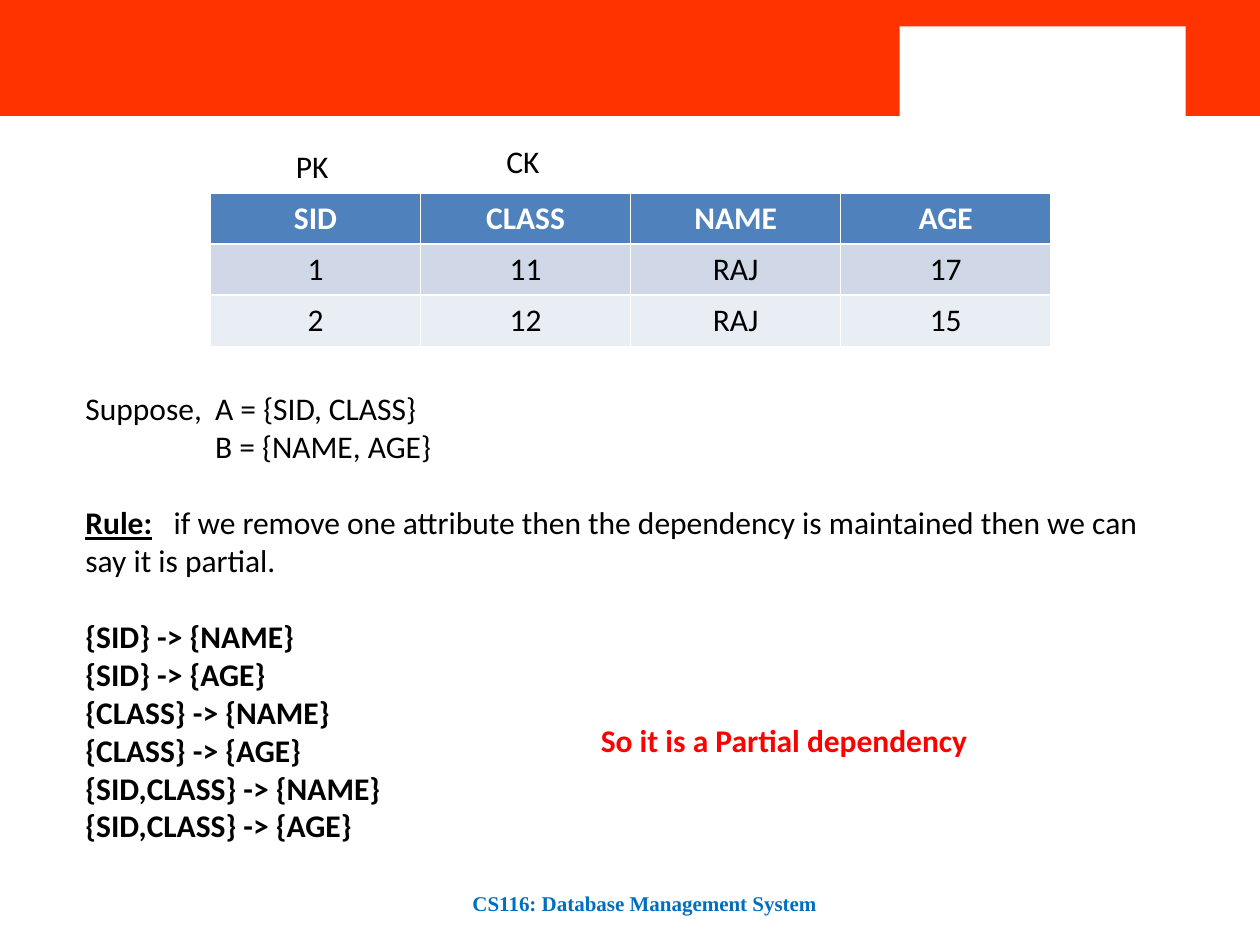
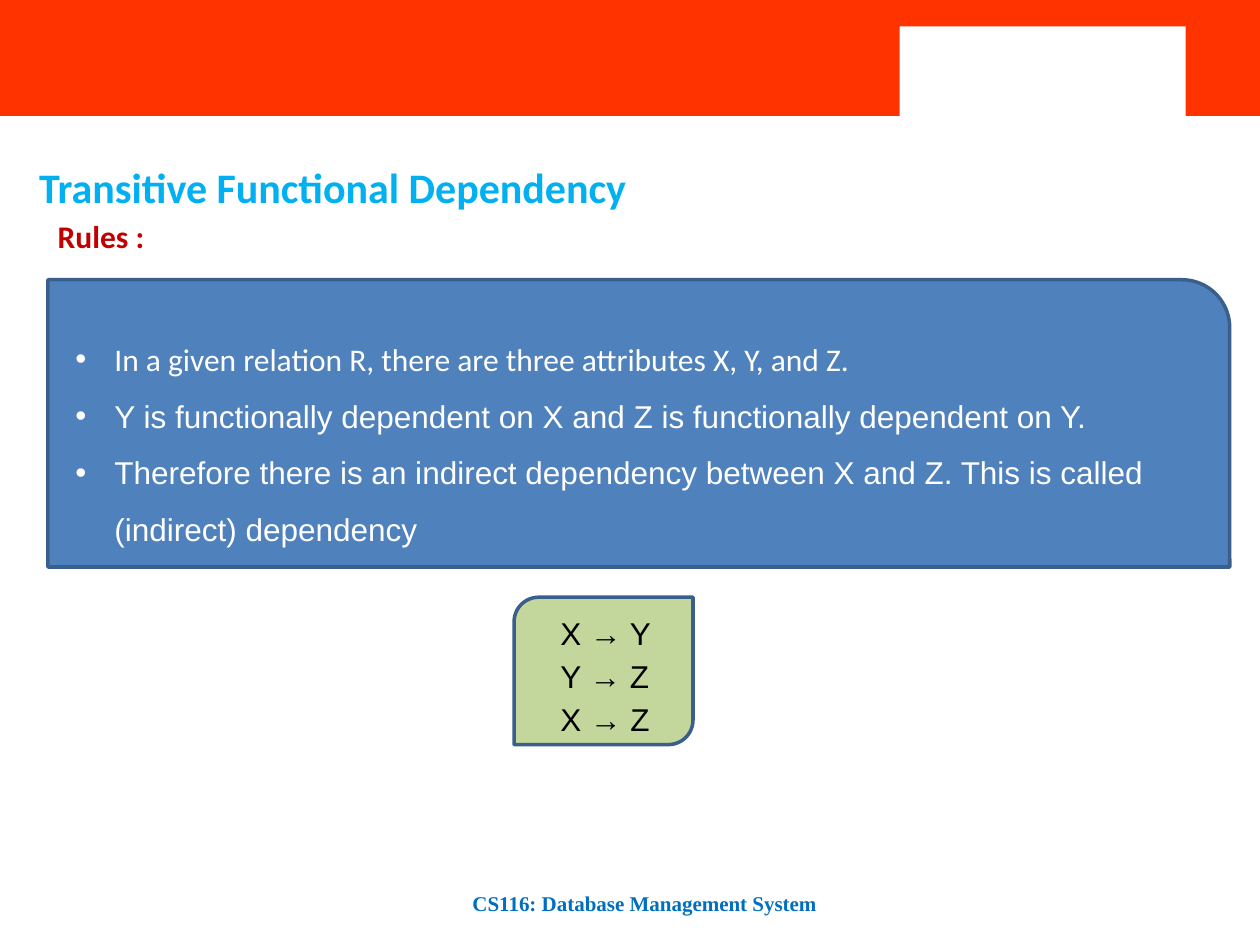
from lxml import etree
from pptx import Presentation
from pptx.dml.color import RGBColor
from pptx.enum.shapes import MSO_SHAPE
from pptx.enum.text import MSO_ANCHOR, MSO_AUTO_SIZE, PP_ALIGN
from pptx.oxml.ns import qn
from pptx.util import Inches, Pt

RECTANGLE = MSO_SHAPE.RECTANGLE
ONE_ROUND = MSO_SHAPE.ROUND_1_RECTANGLE
DIAGONAL_ROUND = MSO_SHAPE.ROUND_2_DIAG_RECTANGLE
CENTER, JUSTIFY = PP_ALIGN.CENTER, PP_ALIGN.JUSTIFY
TOP = MSO_ANCHOR.TOP
NO_FIT = MSO_AUTO_SIZE.NONE
TITLE_ONLY, BLANK = 5, 6

CELL = Inches(1)  # the slide is a grid of 10 columns and 7.5 rows
COLUMNS, ROWS = 10, 7.5
BAND, WHITE, BLACK = "FF3300", "FFFFFF", "000000"
PANEL, PANEL_LINE, GREEN = "4F81BD", "3A5F8C", "C3D69B"
TITLE_BLUE, FOOTER_BLUE = "00B0F0", "006FC0"
RED, DARK_RED = "FF0000", "C00000"
ROW_FILLS = [PANEL, "D0D8E8", "E9EDF4"]


def rgb(hex_code):
    return RGBColor.from_string(hex_code)


def write(slide, box, lines, color=BLACK, size=18, font="Calibri", bold=False,
          spacing=None, holder=None):
    """Put lines (a string, or a tuple of runs) in holder or a new text box."""
    left, top, width, height = [int(CELL * v) for v in box]
    if holder is None:
        holder = slide.shapes.add_textbox(left, top, width, height)
    holder.left, holder.top, holder.width, holder.height = left, top, width, height
    frame = holder.text_frame
    frame.word_wrap = True
    for index, line in enumerate(lines):
        paragraph = frame.paragraphs[0] if index == 0 else frame.add_paragraph()
        for part in (line,) if isinstance(line, str) else line:
            run = paragraph.add_run()
            run.text = part
            run.font.name, run.font.size, run.font.bold = font, Pt(size), bold
            run.font.color.rgb = rgb(color)
        if spacing:
            paragraph.line_spacing = spacing
    return frame


prs = Presentation()
prs.slide_width, prs.slide_height = int(CELL * COLUMNS), int(CELL * ROWS)
partial = prs.slides.add_slide(prs.slide_layouts[BLANK])
transitive = prs.slides.add_slide(prs.slide_layouts[TITLE_ONLY])

# Bands, panels and footers
blocks = []
for slide in (partial, transitive):
    blocks += [(slide, RECTANGLE, (0, 0, COLUMNS, 0.92), BAND, None),
               (slide, RECTANGLE, (7.14, 0.21, 2.27, 0.75), WHITE, None)]
    footer = write(slide, (3.75, 7.07, 3, 0.18), ["CS116: Database Management System"],
                   FOOTER_BLUE, 12, "Times New Roman", True, Pt(14.1))
    footer.margin_left = footer.margin_right = footer.margin_top = footer.margin_bottom = 0
blocks += [(transitive, DIAGONAL_ROUND, (4.08, 4.74, 1.42, 1.17), GREEN, PANEL_LINE),
           (transitive, ONE_ROUND, (0.38, 2.22, 9.38, 2.28), PANEL, PANEL_LINE)]
for slide, outline, box, fill, line in blocks:
    block = slide.shapes.add_shape(outline, *[int(CELL * v) for v in box])
    block.shadow.inherit = False
    block.fill.solid()
    block.fill.fore_color.rgb = rgb(fill)
    if line:
        block.line.color.rgb = rgb(line)
        block.line.width = Pt(2)
    else:
        block.line.fill.background()

# Partial dependency
students = [["SID", "CLASS", "NAME", "AGE"],
            ["1", "11", "RAJ", "17"],
            ["2", "12", "RAJ", "15"]]
table = partial.shapes.add_table(
    len(students), len(students[0]),
    *[int(CELL * v) for v in (1.67, 1.53, 6.67, 1.22)]).table
for row, record in enumerate(students):
    for column, value in enumerate(record):
        cell = table.cell(row, column)
        cell.fill.solid()
        cell.fill.fore_color.rgb = rgb(ROW_FILLS[row])
        cell.text_frame.text = value
        paragraph = cell.text_frame.paragraphs[0]
        paragraph.alignment = CENTER
        font = paragraph.runs[0].font
        font.name, font.size, font.bold = "Calibri", Pt(18), row == 0
        font.color.rgb = rgb(WHITE if row == 0 else BLACK)

write(partial, (2.25, 1.12, 0.63, 0.4), ["PK"])
write(partial, (3.92, 1.08, 0.63, 0.4), ["CK"])
write(partial, (4.67, 5.67, 3.2, 0.4), ["So it is a Partial dependency"], RED, bold=True)

dependencies = [f"{{{key}}} -> {{{value}}}"
                for key in ("SID", "CLASS", "SID,CLASS") for value in ("NAME", "AGE")]
reasoning = write(partial, (0.58, 3.04, 8.67, 3.74), [
    "Suppose,\tA = {SID, CLASS}",
    "\tB = {NAME, AGE}",
    ("Rule:", "\tif we remove one attribute then the dependency is maintained "
              "then we can say it is partial."),
    *dependencies]).paragraphs
rule, first_dependency = reasoning[2:4]
for paragraph, stop in zip(reasoning, (1.03, 1.03, 0.7)):
    tabs = etree.SubElement(paragraph._p.get_or_add_pPr(), qn("a:tabLst"))
    etree.SubElement(tabs, qn("a:tab"), pos=str(int(CELL * stop)), algn="l")
for paragraph in (rule, first_dependency):
    paragraph.space_before = Pt(22)
rule.runs[0].font.bold = rule.runs[0].font.underline = True
for paragraph in reasoning[3:]:
    paragraph.runs[0].font.bold = True

# Transitive dependency
title = write(transitive, (0.21, 1.03, 4.91, 0.71), ["Transitive Functional Dependency"],
              TITLE_BLUE, 24, bold=True, spacing=1.5, holder=transitive.shapes.title)
title.vertical_anchor, title.auto_size, title.word_wrap = TOP, NO_FIT, False
title.paragraphs[0].alignment = JUSTIFY
write(transitive, (0.36, 1.67, 0.89, 0.4), ["Rules :"], DARK_RED, bold=True).word_wrap = False

rules = write(transitive, (0.5, 2.5, 9.26, 2.83), [
    "In a given relation R, there are three attributes X, Y, and Z.",
    "Y is functionally dependent on X and Z is functionally dependent on Y.",
    "Therefore there is an indirect dependency between X and Z. "
    "This is called (indirect) dependency"], WHITE, font="Arial", spacing=1.5).paragraphs
rules[0].runs[0].font.name = "Calibri"
hanging = int(CELL * 0.31)
for paragraph in rules:
    properties = paragraph._p.get_or_add_pPr()
    properties.set("marL", str(hanging))
    properties.set("indent", str(-hanging))
    etree.SubElement(properties, qn("a:buFont"), typeface="Arial")
    etree.SubElement(properties, qn("a:buChar"), char="•")

write(transitive, (4.35, 4.78, 1.27, 1.14), ["X → Y", "Y → Z", "X → Z"],
      font="Arial", spacing=1.14)

prs.save("out.pptx")
